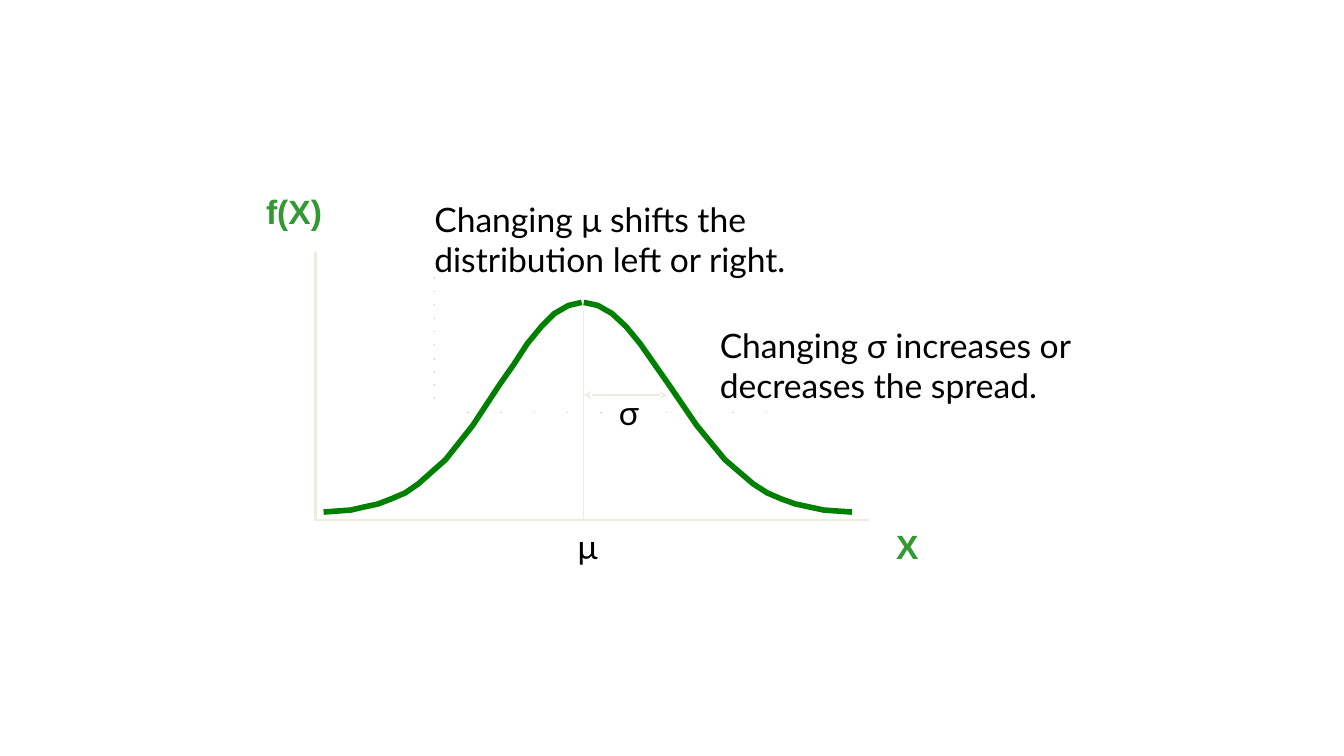
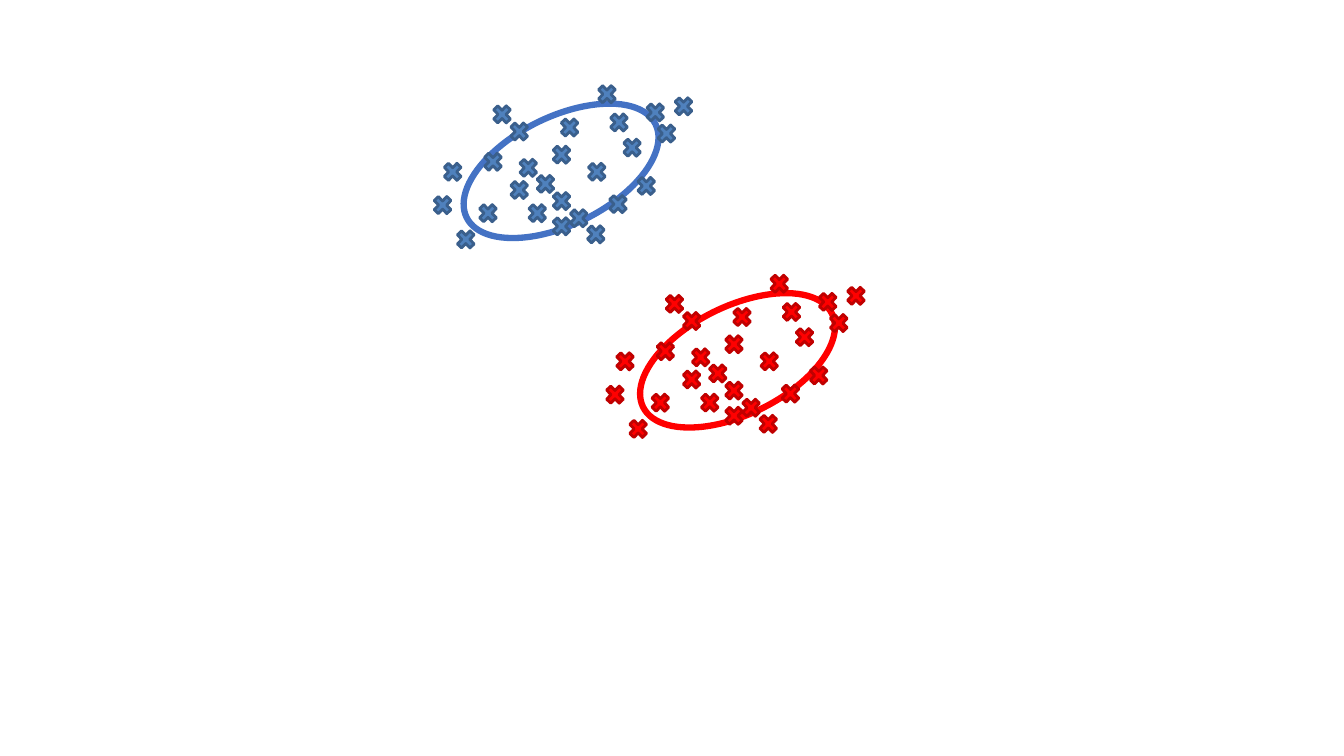
from lxml.etree import SubElement
from pptx import Presentation
from pptx.dml.color import RGBColor
from pptx.enum.shapes import MSO_CONNECTOR, MSO_SHAPE
from pptx.oxml.ns import qn
from pptx.util import Pt

SCALE = 9144
BLACK = RGBColor(0x00, 0x00, 0x00)
LABEL_GREEN = RGBColor(0x33, 0x99, 0x33)
CURVE_GREEN = RGBColor(0x00, 0x80, 0x00)
AXIS_CREAM = RGBColor(0xEE, 0xEC, 0xE1)
GRID_GRAY = RGBColor(0xCD, 0xCD, 0xCD)
OUTLINE_BLUE = RGBColor(0x44, 0x72, 0xC4)
MARKER_BLUE = RGBColor(0x4F, 0x81, 0xBD)
EDGE_BLUE = RGBColor(0x3A, 0x5F, 0x8C)
RED = RGBColor(0xFF, 0x00, 0x00)
EDGE_RED = RGBColor(0xC0, 0x00, 0x00)

AXIS_FORMAT = {"name": "Arial", "size": Pt(24), "bold": True}
NOTE_FORMAT = {"name": "Lato", "size": Pt(24)}

CURVE_STEPS = (0, 2, 3, 4, 5, 6, 7, 9, 11, 13, 14, 15, 16, 17, 18, 19)
CURVE_HEIGHTS = (508, 506, 503, 500, 495, 489, 480, 456,
                 422, 381, 361, 341, 324, 311, 303, 300)

MARKER_POINTS = (
    (638, 99), (590, 81), (486, 101), (503, 118), (602, 109), (615, 134),
    (601, 190), (629, 172), (545, 141), (545, 212), (580, 158), (512, 154),
    (529, 170), (545, 187), (553, 114), (521, 199), (427, 191), (437, 158),
    (450, 225), (477, 148), (562, 204), (503, 176), (472, 199), (579, 220),
    (666, 93), (649, 120),
)
CLUSTERS = (
    ((452, 116), (0, 0), OUTLINE_BLUE, MARKER_BLUE, EDGE_BLUE),
    ((627, 304), (171, 188), RED, RED, EDGE_RED),
)


def px(*lengths):
    """Turn pixel lengths into EMU."""
    return [length * SCALE for length in lengths]


def style_line(line, color, width):
    """Give a line its colour and width in points."""
    line.color.rgb = color
    line.width = Pt(width)


def add_text(page, text, bounds, text_format, color):
    """Add a one-paragraph text box."""
    box = page.shapes.add_textbox(*px(*bounds))
    box.text_frame.word_wrap = True
    span = box.text_frame.paragraphs[0].add_run()
    span.text = text
    for name, value in text_format.items():
        setattr(span.font, name, value)
    span.font.color.rgb = color


def add_line(page, start, end, color, arrows=False):
    """Add a thin straight line, with arrowheads at both ends if asked."""
    line = page.shapes.add_connector(MSO_CONNECTOR.STRAIGHT, *px(*start, *end))
    style_line(line.line, color, 1)
    if arrows:
        outline = line.line._get_or_add_ln()
        for tag in ("a:headEnd", "a:tailEnd"):
            SubElement(outline, qn(tag), type="stealth")
    SubElement(line._element.spPr, qn("a:effectLst"))


def add_path(page, points, color, width):
    """Add an open, unfilled outline through the points."""
    builder = page.shapes.build_freeform(*points[0], scale=SCALE)
    builder.add_line_segments(points[1:], close=False)
    path = builder.convert_to_shape()
    path.shadow.inherit = False
    path.fill.background()
    style_line(path.line, color, width)


def add_preset(page, preset, bounds, line_color, width, fill=None):
    """Add a preset shape, hollow unless a fill is given."""
    shape = page.shapes.add_shape(preset, *px(*bounds))
    shape.shadow.inherit = False
    if fill is None:
        shape.fill.background()
    else:
        shape.fill.solid()
        shape.fill.fore_color.rgb = fill
    style_line(shape.line, line_color, width)
    return shape


def add_half_curve(page, tail, peak):
    """Add one half of the bell from its tail up to its peak."""
    step = (peak - tail) / CURVE_STEPS[-1]
    points = [(round(tail + step * count), height)
              for count, height in zip(CURVE_STEPS, CURVE_HEIGHTS)]
    add_path(page, points, CURVE_GREEN, 4)


def add_grid_dots(page):
    """Add the faint column and row of grid dots."""
    for index in range(10):
        top = round(276 + 13.25 * index)
        add_line(page, (430, top), (431, top), GRID_GRAY)
    for index in range(10):
        left = round(464 + 32.9 * index)
        add_line(page, (left, 409), (left, 410), GRID_GRAY)


def build_normal_curve(page):
    """Draw the normal distribution and its two parameters."""
    add_line(page, (579, 392), (662, 392), AXIS_CREAM, arrows=True)
    add_path(page, [(313, 250), (313, 516), (862, 516)], AXIS_CREAM, 2)
    add_grid_dots(page)
    add_text(page, "X", (879, 517, 50, 50), AXIS_FORMAT, LABEL_GREEN)
    add_text(page, "f(X)", (254, 184, 85, 50), AXIS_FORMAT, LABEL_GREEN)
    add_text(page, "μ", (563, 517, 52, 50), NOTE_FORMAT, BLACK)
    add_text(page, "σ", (604, 384, 52, 50), NOTE_FORMAT, BLACK)
    add_half_curve(page, 845, 579)
    add_half_curve(page, 321, 577)
    add_line(page, (579, 309), (579, 517), AXIS_CREAM)
    add_text(page, "Changing μ shifts the distribution left or right.",
             (421, 192, 417, 130), NOTE_FORMAT, BLACK)
    add_text(page, "Changing σ increases or decreases the spread.",
             (704, 317, 375, 170), NOTE_FORMAT, BLACK)


def build_clusters(page):
    """Draw two clusters of crosses, each with a tilted ellipse."""
    for corner, _, outline, _, _ in CLUSTERS:
        ellipse = add_preset(page, MSO_SHAPE.OVAL, (*corner, 209, 107), outline, 4.5)
        ellipse.rotation = 333.7
    for _, (shift_x, shift_y), _, fill, edge in CLUSTERS:
        for left, top in MARKER_POINTS:
            bounds = (left + shift_x, top + shift_y, 24, 25)
            add_preset(page, MSO_SHAPE.MATH_MULTIPLY, bounds, edge, 2, fill)


def main():
    """Build and save the deck."""
    deck = Presentation()
    deck.slide_width, deck.slide_height = px(1333, 750)
    for build in (build_normal_curve, build_clusters):
        build(deck.slides.add_slide(deck.slide_layouts[6]))
    deck.save("out.pptx")


if __name__ == "__main__":
    main()
